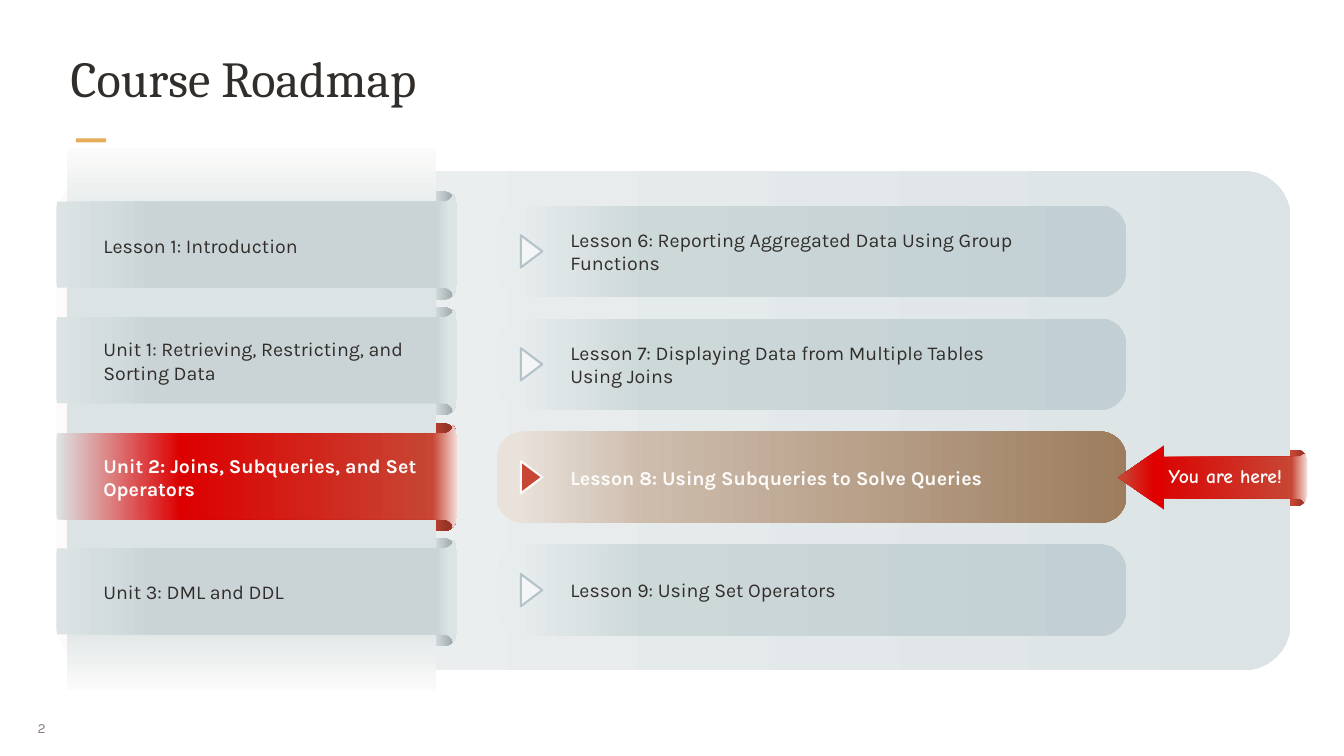
"""Build the course roadmap slide."""
from dataclasses import dataclass

from lxml import etree
from pptx import Presentation
from pptx.dml.color import RGBColor
from pptx.enum.shapes import MSO_SHAPE
from pptx.enum.text import MSO_ANCHOR, MSO_AUTO_SIZE, PP_ALIGN
from pptx.oxml.ns import qn
from pptx.util import Pt

RECTANGLE, ROUNDED, TRIANGLE = MSO_SHAPE.RECTANGLE, MSO_SHAPE.ROUNDED_RECTANGLE, MSO_SHAPE.ISOSCELES_TRIANGLE
TOP, MIDDLE = MSO_ANCHOR.TOP, MSO_ANCHOR.MIDDLE
LEFT, CENTER, JUSTIFY = PP_ALIGN.LEFT, PP_ALIGN.CENTER, PP_ALIGN.JUSTIFY
NO_AUTOFIT = MSO_AUTO_SIZE.NONE
TITLE_ONLY = 5


@dataclass(frozen=True)
class Theme:
    ink: str = "312D2A"
    light: str = "FCFBFA"
    muted: str = "8B8078"
    accent: str = "E6AC58"
    red: str = "C74634"
    marker: str = "F3F5F6"
    marker_line: str = "B4C3C9"
    heading: str = "Cambria"
    body: str = "Karla"
    callout: str = "Comic Neue"
    title_size: int = 54
    body_size: int = 21
    small_size: int = 15
    panel: tuple = ((0, "FCFBFA"), (26, "EAEEEF"), (100, "DCE3E4"))
    column: tuple = ((0, "FCFBFA"), (17, "DCE3E4"), (87, "DCE3E4"), (100, "FCFBFA"))
    lesson: tuple = ((3, "E7ECED"), (24, "CDD8D9"), (100, "C2CFD4"))
    lesson_now: tuple = ((3, "E9E2DB"), (24, "CDBCAC"), (100, "9D7D5E"))
    fold: tuple = ((77, "DEE4E5"), (99, "96A2A7"))
    fold_now: tuple = ((73, "C74634"), (92, "953427"))
    ribbon: tuple = ((0, "DCE3E4"), (25, "CAD4D7"), (95, "CAD4D7"), (98, "DCE3E4"))
    ribbon_now: tuple = ((0, "DCE3E4"), (31, "DC0000"), (94, "C74634"), (100, "F4DAD6"))
    arrow_fold: tuple = ((11, "C74634"), (92, "953427"))
    arrow_tail: tuple = ((0, "DC0000"), (90, "C74634"), (100, "F4DAD6"))
    arrow_head: tuple = ((0, "E00000"), (23, "E00000"), (96, "C74634"))


RIBBON = [(0, 14.4), (0.7, 8.6), (415.4, 8.6), ((419, 8.6), (421.9, 6.5), (424.1, 3.6)),
          (424.8, 0), ((427.7, 3.6), (429.1, 8.6), (429.1, 14.4))]
ARROW_TAIL = [(0, 3.6), (154.8, 3.6), ((157.7, 3.6), (159.8, 2.9), (161.3, 1.4)),
              (162, 0), ((164.2, 1.4), (165.6, 3.6), (165.6, 6.5))]
ARROW_FOLD = [(0, 0), (6.5, 0), ((12.2, 0), (16.6, 4.3), (16.6, 10.1))]

UNITS = [("Lesson 1: Introduction", 207.4, 288), ("Unit 1: Retrieving, Restricting, and Sorting Data", 331.2, 346.3),
         ("Unit 2: Joins, Subqueries, and Set Operators", 455.8, 352), ("Unit 3: DML and DDL", 578.9, 262)]
LESSONS = [("Lesson 6: Reporting Aggregated Data Using Group Functions", 530.6),
           ("Lesson 7: Displaying Data from Multiple Tables Using Joins", 482.4),
           ("Lesson 8: Using Subqueries to Solve Queries", 482.4), ("Lesson 9: Using Set Operators", 482.4)]
CURRENT = 2


def curve_points(start, curve, steps=8):
    """Sample a cubic curve after its start point."""
    points = (start, *curve)
    for step in range(1, steps + 1):
        t = step / steps
        weights = ((1 - t) ** 3, 3 * t * (1 - t) ** 2, 3 * t * t * (1 - t), t ** 3)
        yield tuple(sum(w * p[axis] for w, p in zip(weights, points)) for axis in (0, 1))


class Sheet:
    """Hold the theme and the current page, and draw each kind of element."""

    def __init__(self, theme, page):
        self.theme, self.page, self.shapes = theme, page, page.shapes

    def paint(self, shape, fill, angle=0, line=None):
        """Give a shape a solid or gradient fill and an optional line."""
        shape.shadow.inherit = False
        if isinstance(fill, str):
            shape.fill.solid()
            shape.fill.fore_color.rgb = RGBColor.from_string(fill)
        else:
            shape.fill.gradient()
            shape.fill.gradient_angle = (360 - angle) % 360
            stops = shape._element.spPr.find(".//" + qn("a:gsLst"))
            stops.clear()
            for position, color in fill:
                stop = etree.SubElement(stops, qn("a:gs"), pos=str(position * 1000))
                etree.SubElement(stop, qn("a:srgbClr"), val=color)
        if line:
            shape.line.color.rgb = RGBColor.from_string(line)
            shape.line.width = Pt(2.25)
        else:
            shape.line.fill.background()

    def preset(self, kind, frame, fill, angle=0, line=None, rotation=0, corner=None):
        """Draw a preset shape."""
        shape = self.shapes.add_shape(kind, *map(Pt, frame))
        shape.rotation = rotation
        if corner is not None:
            shape.adjustments[0] = corner
        self.paint(shape, fill, angle, line)

    def mirrored(self, left, top, height, half, fill):
        """Draw an outline whose lower half mirrors its upper half."""
        upper = []
        for part in half:
            upper += curve_points(upper[-1], part) if isinstance(part[0], tuple) else [part]
        lower = [(x, height - y) for x, y in reversed(upper)]
        points = [(Pt(left + x), Pt(top + y)) for x, y in upper + lower]
        builder = self.shapes.build_freeform(*points[0])
        builder.add_line_segments(points[1:], close=True)
        self.paint(builder.convert_to_shape(), fill)

    def set_text(self, box, text, align=LEFT, anchor=MIDDLE, inset=(7.2, 3.6), **font):
        """Fill a box with one formatted paragraph."""
        frame = box.text_frame
        across, down = map(Pt, inset)
        frame_format = {"word_wrap": True, "auto_size": NO_AUTOFIT, "vertical_anchor": anchor, "margin_left": across,
                        "margin_right": across, "margin_top": down, "margin_bottom": down}
        for name, value in frame_format.items():
            setattr(frame, name, value)
        para = frame.paragraphs[0]
        para.alignment = align
        span = para.add_run()
        span.text = text
        style = {"name": self.theme.body, "size": self.theme.body_size, "color": self.theme.ink, "bold": False} | font
        span.font.color.rgb = RGBColor.from_string(style.pop("color"))
        style["size"] = Pt(style["size"])
        for name, value in style.items():
            setattr(span.font, name, value)

    def text(self, frame, text, **options):
        """Add a text box."""
        self.set_text(self.shapes.add_textbox(*map(Pt, frame)), text, **options)

    def title(self, frame, text):
        """Place and format the title placeholder."""
        box = self.page.shapes.title
        for name, value in zip(("left", "top", "width", "height"), frame):
            setattr(box, name, Pt(value))
        self.set_text(box, text, anchor=TOP, inset=(2.2, 2.2), name=self.theme.heading, size=self.theme.title_size)

    def item_font(self, index):
        """Return the label format for a current or ordinary item."""
        return {"color": self.theme.light, "bold": True} if index == CURRENT else {}

    def lessons(self):
        """Draw the lesson bars with their markers."""
        theme = self.theme
        for index, (label, width) in enumerate(LESSONS):
            now = index == CURRENT
            middle = 269.3 + 121 * index
            self.preset(ROUNDED, (532, middle - 49, 674.7, 98), theme.lesson_now if now else theme.lesson, corner=0.289)
            self.text((604, middle - 29, width, 58), label, **self.item_font(index))
            self.preset(TRIANGLE, (552.2, middle - 11.5, 34.6, 23), theme.red if now else theme.marker,
                        line=theme.light if now else theme.marker_line, rotation=90)

    def units(self):
        """Draw the column of unit ribbons."""
        theme = self.theme
        for index, (_, top, _) in enumerate(UNITS):
            fill = theme.fold_now if index == CURRENT else theme.fold
            self.preset(ROUNDED, (375.1, top - 2.3, 113.8, 116), fill, corner=0.126)
        self.preset(RECTANGLE, (72, 159, 395.3, 580.3), theme.column, angle=90)
        for index, (label, top, width) in enumerate(UNITS):
            fill = theme.ribbon_now if index == CURRENT else theme.ribbon
            self.mirrored(60.5, top, 109.4, RIBBON, fill)
            self.text((103.7, top + 26.5, width, 58), label, **self.item_font(index))

    def callout(self, label):
        """Draw the grouped arrow that marks the current lesson."""
        theme = self.theme
        self.shapes = self.page.shapes.add_group_shape().shapes
        self.mirrored(1382.4, 481.7, 60.5, ARROW_FOLD, theme.arrow_fold)
        self.mirrored(1234.8, 486, 51.5, ARROW_TAIL, theme.arrow_tail)
        self.preset(TRIANGLE, (1188, 486.7, 69.8, 49.7), theme.arrow_head, angle=270, rotation=270)
        self.text((1234.8, 493.2, 156.2, 32.4), label, align=CENTER, name=theme.callout, color=theme.light, bold=True)
        self.shapes = self.page.shapes


def main():
    """Build and save the deck."""
    deck = Presentation()
    deck.slide_width, deck.slide_height = Pt(1440), Pt(810)
    theme = Theme()
    sheet = Sheet(theme, deck.slides.add_slide(deck.slide_layouts[TITLE_ONLY]))
    sheet.preset(RECTANGLE, (81.4, 148.3, 32.4, 4.3), theme.accent)
    sheet.text((31, 758.9, 46.8, 41.8), "2", align=JUSTIFY, inset=(9.4, 5), size=theme.small_size, color=theme.muted)
    sheet.title((73.4, 48.2, 1293, 92.2), "Course Roadmap")
    sheet.preset(ROUNDED, (60.5, 183.6, 1322, 534.2), theme.panel, corner=0.093)
    sheet.lessons()
    sheet.callout("You are here!")
    sheet.units()
    deck.save("out.pptx")


if __name__ == "__main__":
    main()
